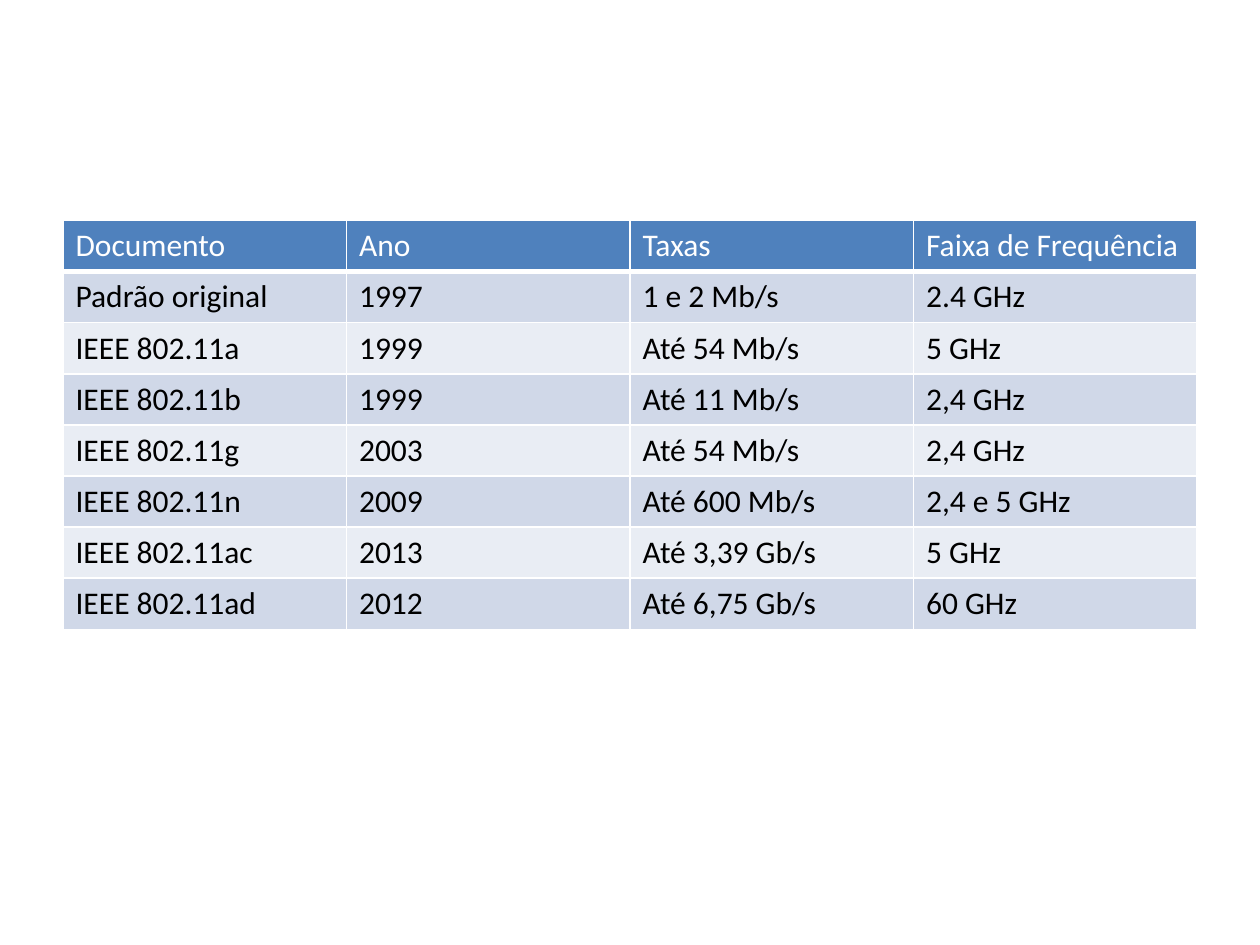
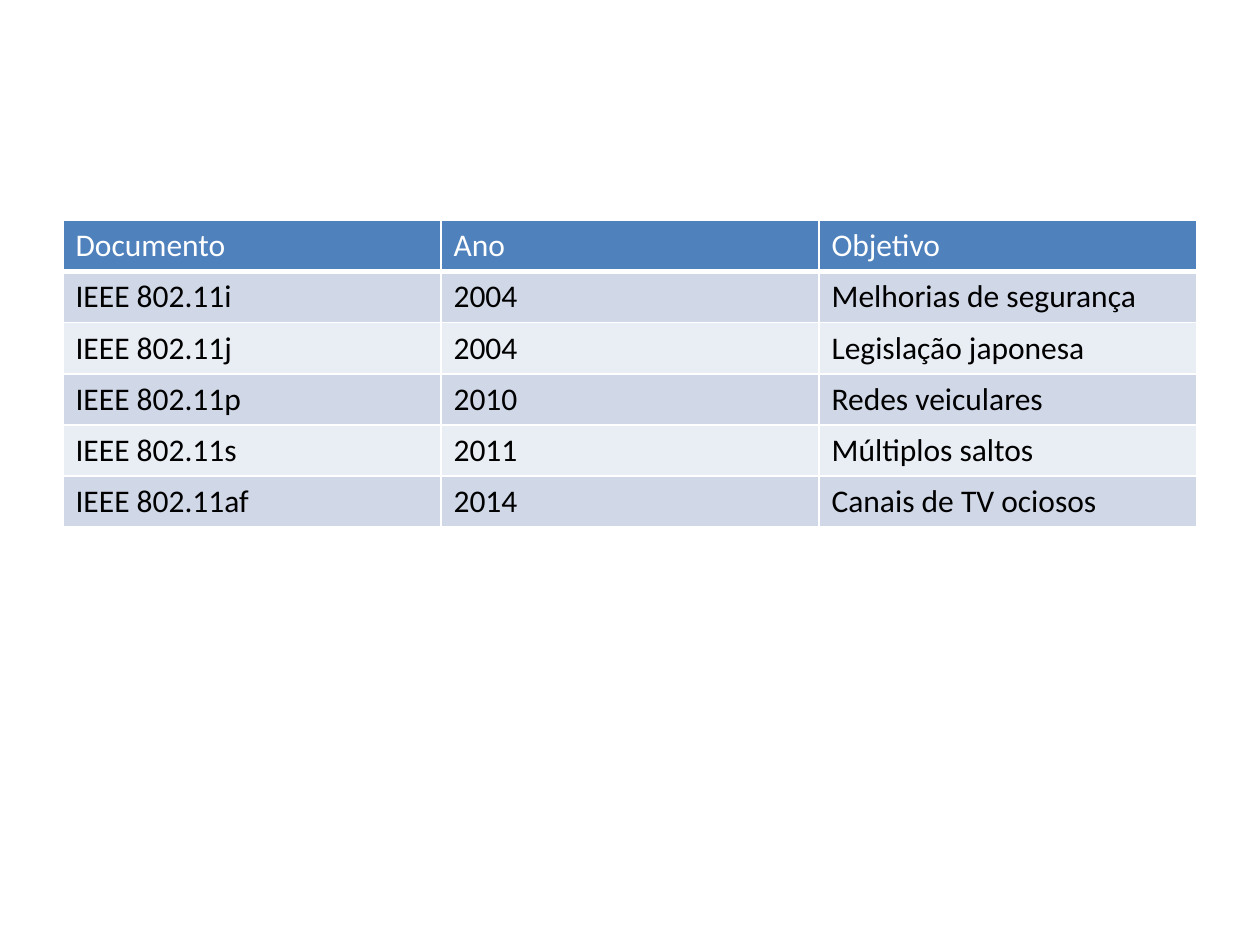
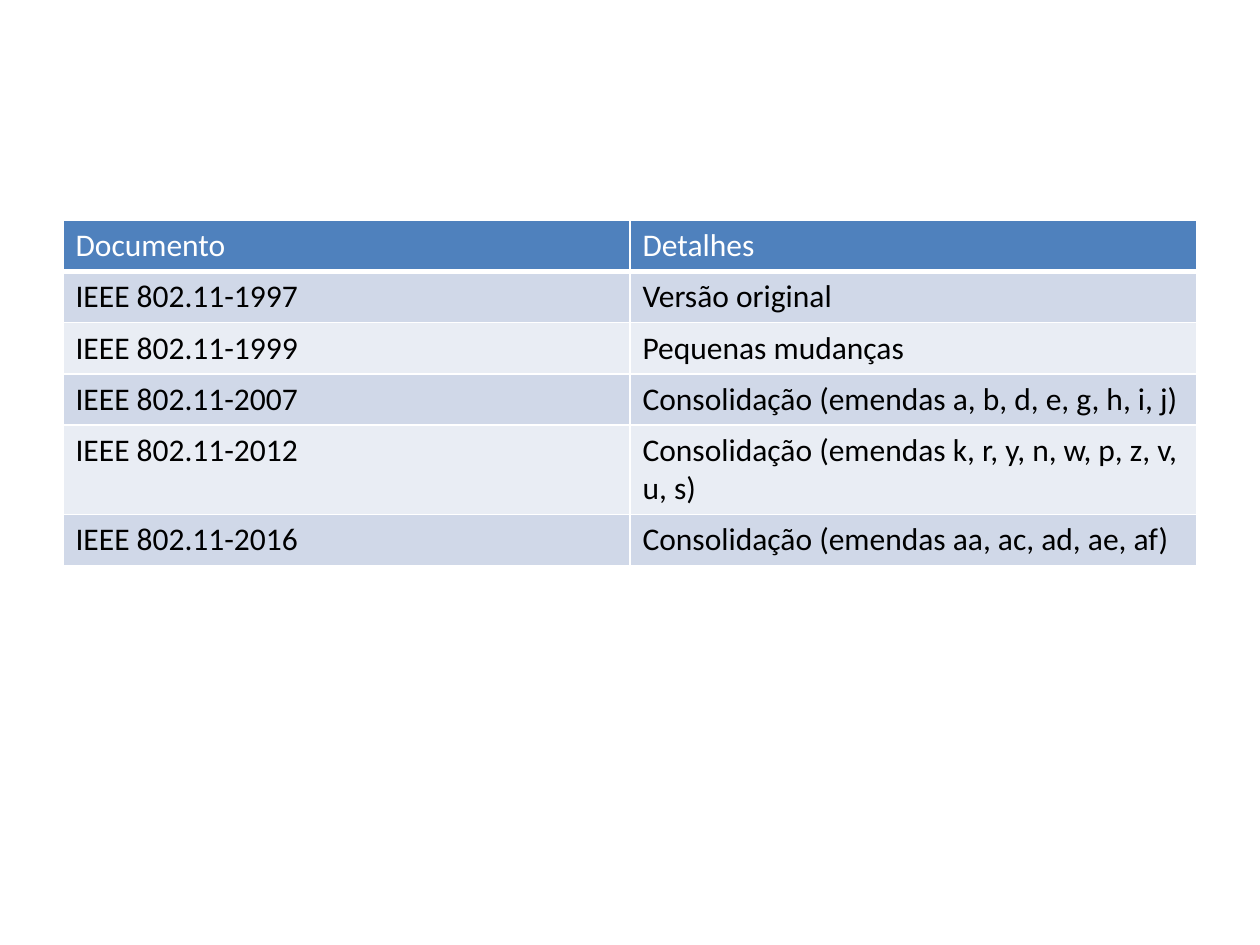
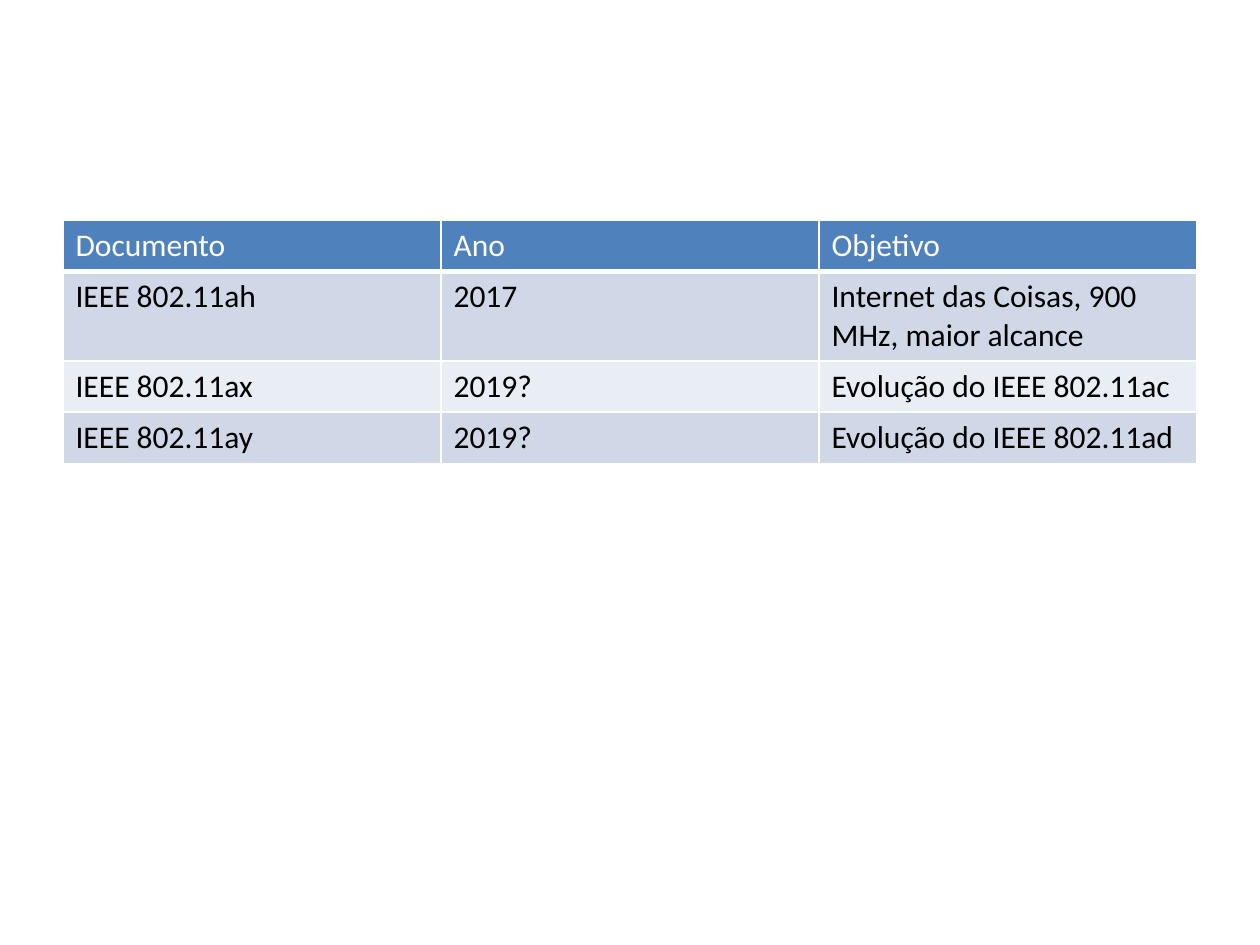
import dataclasses

import pptx
import pptx.dml.color
import pptx.oxml
import pptx.oxml.ns
import pptx.presentation
import pptx.table
import pptx.util

Inches = pptx.util.Inches
Pt = pptx.util.Pt

FONT = "Calibri"
FONT_SIZE = 18
WHITE = "FFFFFF"
BLACK = "000000"
HEADER_FILL = "4F81BD"
BAND_FILLS = ("D0D8E8", "E9EDF4")
TABLE_LEFT, TABLE_TOP, TABLE_WIDTH = 0.5, 1.75, 9
ROW_HEIGHT = 0.4
THIN, THICK = 1, 3


@dataclasses.dataclass(frozen=True)
class StandardsTable:
    headings: tuple[str, ...]
    rows: tuple[tuple[str, ...], ...]


TABLES = (
    StandardsTable(
        ("Documento", "Ano", "Taxas", "Faixa de Frequência"),
        (
            ("Padrão original", "1997", "1 e 2 Mb/s", "2.4 GHz"),
            ("IEEE 802.11a", "1999", "Até 54 Mb/s", "5 GHz"),
            ("IEEE 802.11b", "1999", "Até 11 Mb/s", "2,4 GHz"),
            ("IEEE 802.11g", "2003", "Até 54 Mb/s", "2,4 GHz"),
            ("IEEE 802.11n", "2009", "Até 600 Mb/s", "2,4 e 5 GHz"),
            ("IEEE 802.11ac", "2013", "Até 3,39 Gb/s", "5 GHz"),
            ("IEEE 802.11ad", "2012", "Até 6,75 Gb/s", "60 GHz"),
        ),
    ),
    StandardsTable(
        ("Documento", "Ano", "Objetivo"),
        (
            ("IEEE 802.11i", "2004", "Melhorias de segurança"),
            ("IEEE 802.11j", "2004", "Legislação japonesa"),
            ("IEEE 802.11p", "2010", "Redes veiculares"),
            ("IEEE 802.11s", "2011", "Múltiplos saltos"),
            ("IEEE 802.11af", "2014", "Canais de TV ociosos"),
        ),
    ),
    StandardsTable(
        ("Documento", "Detalhes"),
        (
            ("IEEE 802.11-1997", "Versão original"),
            ("IEEE 802.11-1999", "Pequenas mudanças"),
            ("IEEE 802.11-2007", "Consolidação (emendas a, b, d, e, g, h, i, j)"),
            ("IEEE 802.11-2012", "Consolidação (emendas k, r, y, n, w, p, z, v, u, s)"),
            ("IEEE 802.11-2016", "Consolidação (emendas aa, ac, ad, ae, af)"),
        ),
    ),
    StandardsTable(
        ("Documento", "Ano", "Objetivo"),
        (
            ("IEEE 802.11ah", "2017", "Internet das Coisas, 900 MHz, maior alcance"),
            ("IEEE 802.11ax", "2019?", "Evolução do IEEE 802.11ac"),
            ("IEEE 802.11ay", "2019?", "Evolução do IEEE 802.11ad"),
        ),
    ),
)


def color(value: str) -> pptx.dml.color.RGBColor:
    return pptx.dml.color.RGBColor.from_string(value)


def set_borders(cell: pptx.table._Cell, bottom: float) -> None:
    properties = cell._tc.get_or_add_tcPr()
    widths = {"lnL": THIN, "lnR": THIN, "lnT": THIN, "lnB": bottom}
    for position, (side, width) in enumerate(widths.items()):
        border = pptx.oxml.parse_xml(
            f'<a:{side} {pptx.oxml.ns.nsdecls("a")} w="{Pt(width)}">'
            f'<a:solidFill><a:srgbClr val="{WHITE}"/></a:solidFill></a:{side}>'
        )
        properties.insert(position, border)


def fill_cell(cell: pptx.table._Cell, text: str, fill: str, ink: str, bottom: float) -> None:
    cell.fill.solid()
    cell.fill.fore_color.rgb = color(fill)
    set_borders(cell, bottom)
    cell.text_frame.text = text
    for span in cell.text_frame.paragraphs[0].runs:
        span.font.name = FONT
        span.font.size = Pt(FONT_SIZE)
        span.font.bold = False
        span.font.color.rgb = color(ink)


def add_standards_page(deck: pptx.presentation.Presentation, content: StandardsTable) -> None:
    page = deck.slides.add_slide(deck.slide_layouts[6])
    lines = (content.headings, *content.rows)
    grid = page.shapes.add_table(
        len(lines), len(content.headings),
        Inches(TABLE_LEFT), Inches(TABLE_TOP),
        Inches(TABLE_WIDTH), Inches(ROW_HEIGHT * len(lines)),
    ).table
    for row, line in enumerate(lines):
        for column, text in enumerate(line):
            cell = grid.cell(row, column)
            if row == 0:
                fill_cell(cell, text, HEADER_FILL, WHITE, THICK)
            else:
                fill_cell(cell, text, BAND_FILLS[(row - 1) % 2], BLACK, THIN)


def build() -> None:
    deck = pptx.Presentation()
    deck.slide_width = Inches(10)
    deck.slide_height = Inches(7.5)
    for content in TABLES:
        add_standards_page(deck, content)
    deck.save("out.pptx")


build()
